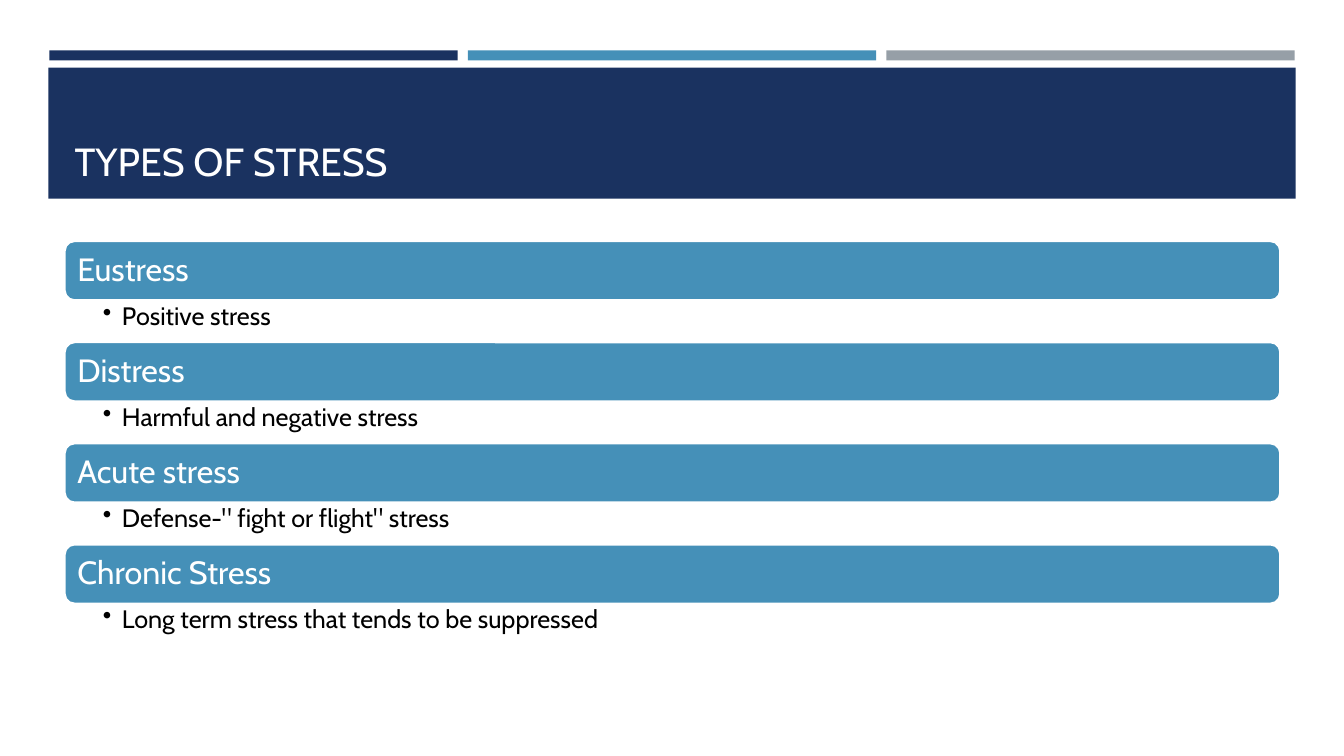
from lxml import etree
from pptx import Presentation
from pptx import util as u
from pptx.dml.color import RGBColor
from pptx.enum import shapes, text
from pptx.oxml.ns import qn

COLORS = {"navy": "1A3260", "blue": "4590B8", "gray": "969FA7",
          "white": "FFFFFF", "black": "000000"}


class Deck:
    font = "Cabin"

    def __init__(self, prs):
        self.s = prs.slides.add_slide(prs.slide_layouts[5])

    def color(self, name):
        return RGBColor.from_string(COLORS[name])

    def place(self, sp, box):
        sp.left, sp.top, sp.width, sp.height = map(u.Inches, box)

    def set_text(self, sp, words, size, color, anchor, insets):
        tf = sp.text_frame
        tf.text = words
        tf.word_wrap = True
        tf.auto_size = text.MSO_AUTO_SIZE.NONE
        tf.vertical_anchor = anchor
        tf.margin_left, tf.margin_top, tf.margin_right, tf.margin_bottom = map(u.Inches, insets)
        p = tf.paragraphs[0]
        p.alignment = text.PP_ALIGN.LEFT
        p.line_spacing = 0.9
        r = p.runs[0]
        r.font.name = self.font
        r.font.size = u.Pt(size)
        r.font.color.rgb = self.color(color)
        return p

    def shape(self, kind, box, fill, line=None):
        sp = self.s.shapes.add_shape(kind, *map(u.Inches, box))
        sp.shadow.inherit = False
        sp.fill.solid()
        sp.fill.fore_color.rgb = self.color(fill)
        if line:
            sp.line.color.rgb = self.color(line)
            sp.line.width = u.Pt(1.75)
        else:
            sp.line.fill.background()
        return sp

    def band(self, box, fill):
        self.shape(shapes.MSO_SHAPE.RECTANGLE, box, fill)

    def title(self, words, box):
        sp = self.s.shapes.title
        self.place(sp, box)
        p = self.set_text(sp, words, 28, "white", text.MSO_ANCHOR.BOTTOM, (0.1, 0.05, 0.1, 0.05))
        p.line_spacing = 1.0
        sp.element.getparent().append(sp.element)

    def heading(self, words, box):
        sp = self.shape(shapes.MSO_SHAPE.ROUNDED_RECTANGLE, box, "blue", "white")
        self.set_text(sp, words, 23, "white", text.MSO_ANCHOR.MIDDLE, (0.1, 0.1, 0.1, 0.1))

    def bullet(self, words, box):
        sp = self.s.shapes.add_textbox(*map(u.Inches, box))
        p = self.set_text(sp, words, 18, "black", text.MSO_ANCHOR.TOP, (0.38, 0.03, 0.18, 0.03))
        pPr = p._p.get_or_add_pPr()
        pPr.set("marL", str(u.Inches(0.19)))
        pPr.set("indent", str(u.Inches(-0.19)))
        etree.SubElement(pPr, qn("a:buChar")).set("char", "•")


prs = Presentation()
prs.slide_width, prs.slide_height = u.Inches(13.33), u.Inches(7.5)
deck = Deck(prs)

for i, fill in enumerate(("navy", "blue", "gray")):
    deck.band((0.49 + 4.15 * i, 0.5, 4.05, 0.1), fill)
deck.band((0.48, 0.67, 12.37, 1.3), "navy")
deck.title("TYPES OF STRESS", (0.64, 0.77, 12.06, 1.11))

stress_types = [
    ("Eustress", "Positive stress"),
    ("Distress", "Harmful and negative stress"),
    ("Acute stress", 'Defense-" fight or flight" stress'),
    ("Chronic Stress", "Long term stress that tends to be suppressed"),
]
first, last, head_h, note_h = 2.39, 5.4, 0.59, 0.42
pitch = (last - first) / (len(stress_types) - 1)
for i, (name, note) in enumerate(stress_types):
    top = first + pitch * i
    deck.heading(name, (0.64, top, 12.06, head_h))
    deck.bullet(note, (0.64, top + head_h, 12.06, note_h))

prs.save("out.pptx")
